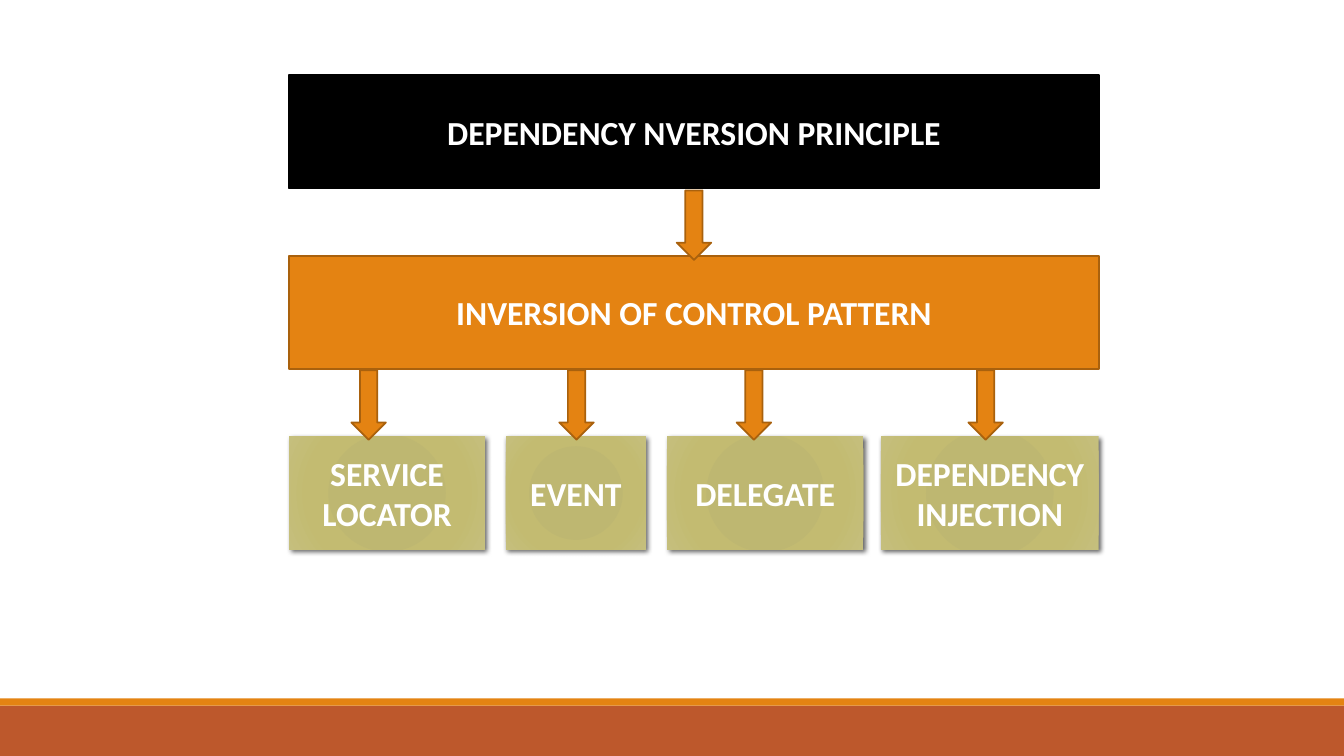
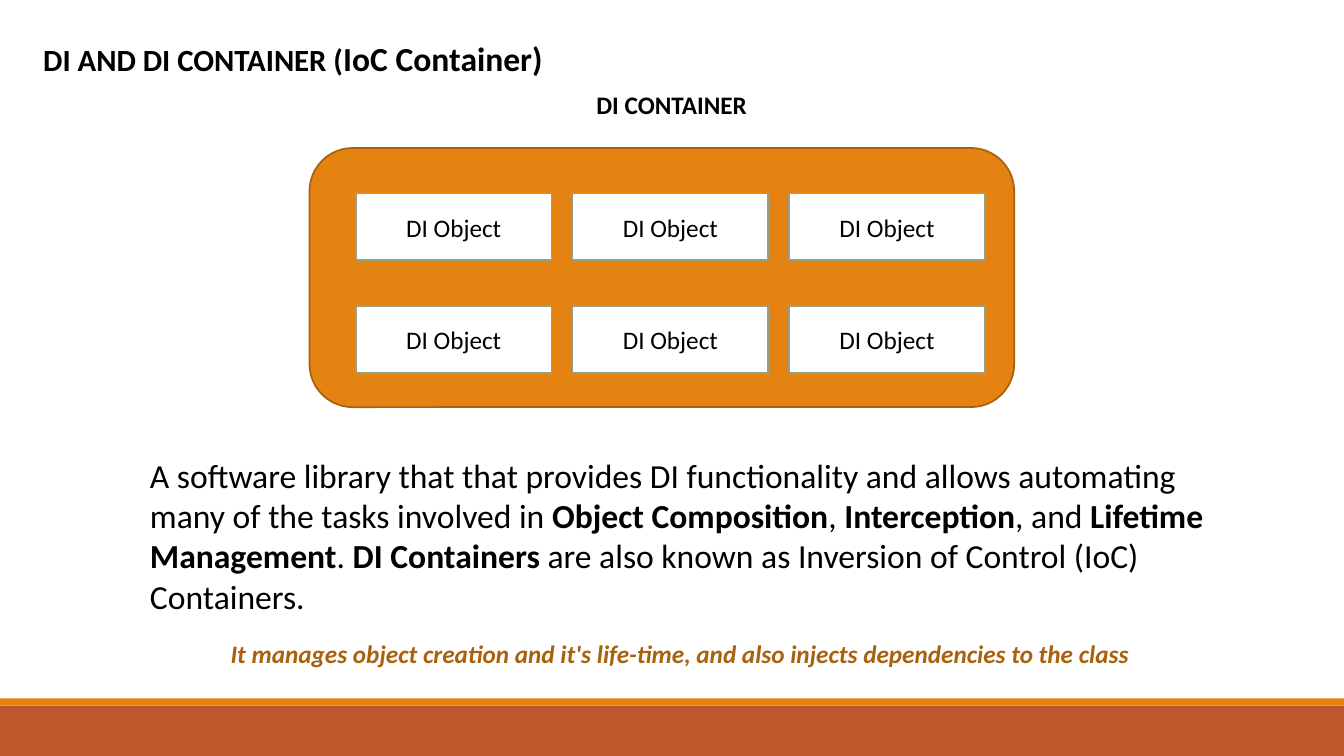
from lxml import etree
from pptx import Presentation
from pptx.dml.color import RGBColor
from pptx.enum import shapes, text
from pptx.oxml import ns
from pptx.util import Cm, Pt

BLACK = RGBColor(0x00, 0x00, 0x00)
WHITE = RGBColor(0xFF, 0xFF, 0xFF)
ORANGE = RGBColor(0xE4, 0x83, 0x12)
DARK_ORANGE = RGBColor(0xA9, 0x61, 0x0D)
RUST = RGBColor(0xBD, 0x58, 0x2C)
SAGE = RGBColor(0x94, 0xA0, 0x88)
KHAKI_STOPS = [
    (0, RGBColor(0xBE, 0xB7, 0x6E)),
    (34, RGBColor(0xBE, 0xB7, 0x71)),
    (70, RGBColor(0xC3, 0xBB, 0x71)),
    (100, RGBColor(0xC5, 0xBF, 0x7D)),
]

FONT = "Calibri"
SLIDE_WIDTH, SLIDE_HEIGHT = 33.87, 19.05
RECTANGLE = shapes.MSO_SHAPE.RECTANGLE
DOWN_ARROW = shapes.MSO_SHAPE.DOWN_ARROW
ROUNDED = shapes.MSO_SHAPE.ROUNDED_RECTANGLE
CENTER = text.PP_ALIGN.CENTER
LEFT = text.PP_ALIGN.LEFT


def write_text(shape, runs, size=24, color=WHITE, bold=False, italic=False,
               align=CENTER, anchor=text.MSO_ANCHOR.MIDDLE, wrap=True):
    frame = shape.text_frame
    frame.word_wrap = wrap
    frame.vertical_anchor = anchor
    paragraph = frame.paragraphs[0]
    paragraph.alignment = align
    for content, run_size, run_bold in runs:
        run = paragraph.add_run()
        run.text = content
        run.font.name = FONT
        run.font.size = Pt(run_size or size)
        run.font.bold = bold or run_bold
        run.font.italic = italic
        run.font.color.rgb = color


def plain(content):
    return [(content, None, False)]


def strong(content):
    return [(content, None, True)]


def add_box(slide, kind, left, top, width, height, fill=None, line=None):
    shape = slide.shapes.add_shape(kind, Cm(left), Cm(top), Cm(width), Cm(height))
    shape.shadow.inherit = False
    if fill is not None:
        shape.fill.solid()
        shape.fill.fore_color.rgb = fill
    if line is None:
        shape.line.fill.background()
    else:
        shape.line.color.rgb = line
        shape.line.width = Pt(1.25)
    return shape


def add_text_box(slide, left, top, width, height, runs, **style):
    box = slide.shapes.add_textbox(Cm(left), Cm(top), Cm(width), Cm(height))
    write_text(box, runs, align=LEFT, anchor=text.MSO_ANCHOR.TOP, **style)


def apply_khaki_style(shape):
    stops = "".join(
        f'<a:gs pos="{position * 1000}"><a:srgbClr val="{color}"/></a:gs>'
        for position, color in KHAKI_STOPS)
    gradient = etree.fromstring(
        f'<a:gradFill {ns.nsdecls("a")} rotWithShape="1"><a:gsLst>{stops}</a:gsLst>'
        '<a:path path="circle"><a:fillToRect l="100000" t="100000" '
        'r="100000" b="100000"/></a:path></a:gradFill>')
    shadow = etree.fromstring(
        f'<a:outerShdw {ns.nsdecls("a")} blurRad="{Pt(3.5)}" dist="{Pt(2)}" '
        'dir="2700000" algn="tl" rotWithShape="0"><a:srgbClr val="000000">'
        '<a:alpha val="60000"/></a:srgbClr></a:outerShdw>')
    properties = shape.element.spPr
    properties.find(ns.qn("a:prstGeom")).addnext(gradient)
    properties.find(ns.qn("a:effectLst")).append(shadow)


def add_footer_bands(slide):
    add_box(slide, RECTANGLE, 0, 17.78, SLIDE_WIDTH, 1.27, RUST)
    add_box(slide, RECTANGLE, 0, 17.6, SLIDE_WIDTH, 0.18, ORANGE)


def add_down_arrow(slide, center, top):
    width, height = 0.87, 1.75
    add_box(slide, DOWN_ARROW, center - width / 2, top, width, height,
            ORANGE, DARK_ORANGE)


def add_hierarchy(slide, left, top, width):
    height, pitch = 2.85, 4.55
    levels = [
        ("DEPENDENCY NVERSION PRINCIPLE", BLACK, BLACK),
        ("INVERSION OF CONTROL PATTERN", ORANGE, DARK_ORANGE),
    ]
    for row, (label, fill, line) in enumerate(levels):
        box = add_box(slide, RECTANGLE, left, top + row * pitch, width, height,
                      fill, line)
        write_text(box, strong(label))

    add_down_arrow(slide, left + width / 2, top + height + 0.05)

    techniques = [
        ("SERVICE LOCATOR", 0, 4.93, 2.0),
        ("EVENT", 5.46, 3.53, 7.24),
        ("DELEGATE", 9.52, 4.95, 11.71),
        ("DEPENDENCY INJECTION", 14.91, 5.49, 17.55),
    ]
    for label, offset, box_width, _ in techniques:
        box = add_box(slide, RECTANGLE, left + offset, top + 2 * pitch,
                      box_width, height)
        apply_khaki_style(box)
        write_text(box, strong(label))
    for _, _, _, arrow_offset in techniques:
        add_down_arrow(slide, left + arrow_offset, top + pitch + height + 0.03)


def add_container(slide, left, top, width, height):
    add_box(slide, ROUNDED, left, top, width, height, ORANGE, DARK_ORANGE)
    for row in range(2):
        for column in range(3):
            item = add_box(slide, RECTANGLE, left + 1.17 + column * 5.46,
                           top + 1.15 + row * 2.84, 4.93, 1.68, WHITE, SAGE)
            write_text(item, plain("DI Object"), size=18, color=BLACK)


def build_principle_slide(slide):
    add_hierarchy(slide, 7.29, 1.9, 20.4)


def build_container_slide(slide):
    title = [("DI AND DI CONTAINER (", 22, True), ("IoC Container)", 24, True)]
    add_text_box(slide, 0.84, 0.84, 13.26, 1.27, title, color=BLACK, wrap=False)
    add_text_box(slide, 14.78, 2.13, 4.34, 1.02, strong("DI CONTAINER"),
                 size=18, color=BLACK, wrap=False)
    add_container(slide, 7.8, 3.73, 17.76, 6.53)
    description = (
        plain("A software library that that provides DI functionality and allows "
              "automating many of the tasks involved in ")
        + strong("Object Composition") + plain(", ")
        + strong("Interception") + plain(", and ")
        + strong("Lifetime Management") + plain(". ")
        + strong("DI Containers")
        + plain(" are also known as Inversion of Control (IoC) Containers."))
    add_text_box(slide, 3.53, 11.33, 27.79, 4.37, description, color=BLACK)
    summary = ("It manages object creation and it's life-time, and also injects "
               "dependencies to the class")
    add_text_box(slide, 5.56, 15.95, 26.54, 1.8, plain(summary), size=18,
                 color=DARK_ORANGE, bold=True, italic=True)


def main():
    presentation = Presentation()
    presentation.slide_width = Cm(SLIDE_WIDTH)
    presentation.slide_height = Cm(SLIDE_HEIGHT)
    for build in (build_principle_slide, build_container_slide):
        slide = presentation.slides.add_slide(presentation.slide_layouts[6])
        add_footer_bands(slide)
        build(slide)
    presentation.save("out.pptx")


if __name__ == "__main__":
    main()
